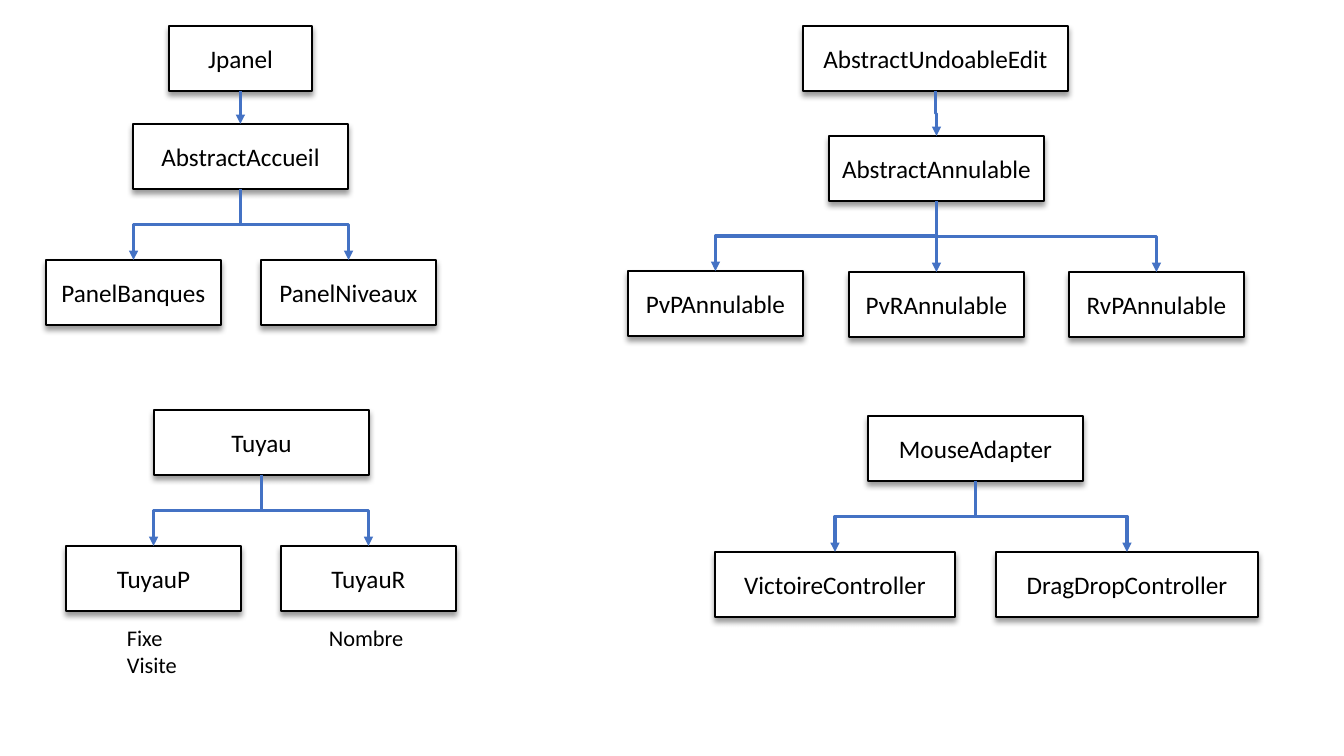
"""Draw four class hierarchies as boxes joined by elbow arrows."""
from lxml.etree import SubElement
from pptx import Presentation
from pptx.dml.color import RGBColor
from pptx.enum.shapes import MSO_CONNECTOR, MSO_SHAPE
from pptx.enum.text import MSO_ANCHOR, PP_ALIGN
from pptx.oxml.ns import qn
from pptx.util import Pt

BLACK = RGBColor(0x00, 0x00, 0x00)
WHITE = RGBColor(0xFF, 0xFF, 0xFF)
BLUE = RGBColor(0x44, 0x72, 0xC4)
FONT = "Calibri"
SCALE = 914400 / 100.8
HIGH = 65
WIDE, SLIM = 215, 175
BOTTOM, TOP = 2, 0

CLASSES = [
    ("Jpanel", 169, 26, 143),
    ("AbstractAccueil", 133, 124, WIDE),
    ("PanelBanques", 46, 260, SLIM),
    ("PanelNiveaux", 261, 260, SLIM),
    ("Tuyau", 154, 410, WIDE),
    ("TuyauP", 66, 546, SLIM),
    ("TuyauR", 281, 546, SLIM),
    ("AbstractUndoableEdit", 803, 26, 265),
    ("AbstractAnnulable", 829, 136, WIDE),
    ("PvPAnnulable", 628, 271, SLIM),
    ("PvRAnnulable", 849, 272, SLIM),
    ("RvPAnnulable", 1069, 272, SLIM),
    ("MouseAdapter", 868, 416, WIDE),
    ("VictoireController", 715, 552, 240),
    ("DragDropController", 996, 552, 262),
]
TREE = {
    "Jpanel": ["AbstractAccueil"],
    "AbstractAccueil": ["PanelBanques", "PanelNiveaux"],
    "Tuyau": ["TuyauP", "TuyauR"],
    "AbstractUndoableEdit": ["AbstractAnnulable"],
    "AbstractAnnulable": ["PvPAnnulable", "PvRAnnulable", "RvPAnnulable"],
    "MouseAdapter": ["VictoireController", "DragDropController"],
}
NOTES = [
    (["Fixe", "Visite"], 117, 619, 75, 65),
    (["Nombre"], 319, 619, 99, 37),
]


def emu(*sizes):
    return [round(size * SCALE) for size in sizes]


def write(frame, lines, size, align):
    frame.word_wrap = True
    for i, line in enumerate(lines):
        para = frame.paragraphs[0] if i == 0 else frame.add_paragraph()
        para.alignment = align
        run = para.add_run()
        run.text = line
        run.font.name = FONT
        run.font.size = Pt(size)
        run.font.color.rgb = BLACK


def cast(box):
    box.shadow.inherit = False
    effects = box._element.spPr.find(qn("a:effectLst"))
    shade = SubElement(effects, qn("a:outerShdw"), blurRad=str(Pt(4)),
                       dist=str(Pt(3)), dir="5400000", rotWithShape="0")
    tint = SubElement(shade, qn("a:srgbClr"), val=str(BLACK))
    SubElement(tint, qn("a:alpha"), val="40000")


def add_box(slide, name, left, top, width):
    box = slide.shapes.add_shape(MSO_SHAPE.RECTANGLE, *emu(left, top, width, HIGH))
    box.fill.solid()
    box.fill.fore_color.rgb = WHITE
    box.line.color.rgb = BLACK
    box.line.width = Pt(1)
    cast(box)
    box.text_frame.vertical_anchor = MSO_ANCHOR.MIDDLE
    write(box.text_frame, [name], 18, PP_ALIGN.CENTER)
    return box


def turn(link):
    """Rotate the elbow so that it leaves and enters vertically."""
    right = link.end_x >= link.begin_x
    mid_x = (link.begin_x + link.end_x) // 2
    mid_y = (link.begin_y + link.end_y) // 2
    link.width, link.height = link.height, link.width
    link.left = mid_x - link.width // 2
    link.top = mid_y - link.height // 2
    frame = link._element.spPr.find(qn("a:xfrm"))
    frame.set("rot", "16200000" if right else "5400000")
    frame.set("flipH", "1" if right else "0")


def add_link(slide, base, child):
    link = slide.shapes.add_connector(MSO_CONNECTOR.ELBOW, 0, 0, 0, 0)
    link.begin_connect(base, BOTTOM)
    link.end_connect(child, TOP)
    turn(link)
    link.line.color.rgb = BLUE
    link.line.width = Pt(2.25)
    SubElement(link.line._get_or_add_ln(), qn("a:tailEnd"), type="triangle")
    SubElement(link._element.spPr, qn("a:effectLst"))


deck = Presentation()
deck.slide_width, deck.slide_height = emu(1344, 756)
slide = deck.slides.add_slide(deck.slide_layouts[6])
boxes = {row[0]: add_box(slide, *row) for row in CLASSES}
for base, heirs in TREE.items():
    for heir in heirs:
        add_link(slide, boxes[base], boxes[heir])
for lines, *place in NOTES:
    note = slide.shapes.add_textbox(*emu(*place))
    write(note.text_frame, lines, 16, PP_ALIGN.LEFT)
deck.save("out.pptx")
